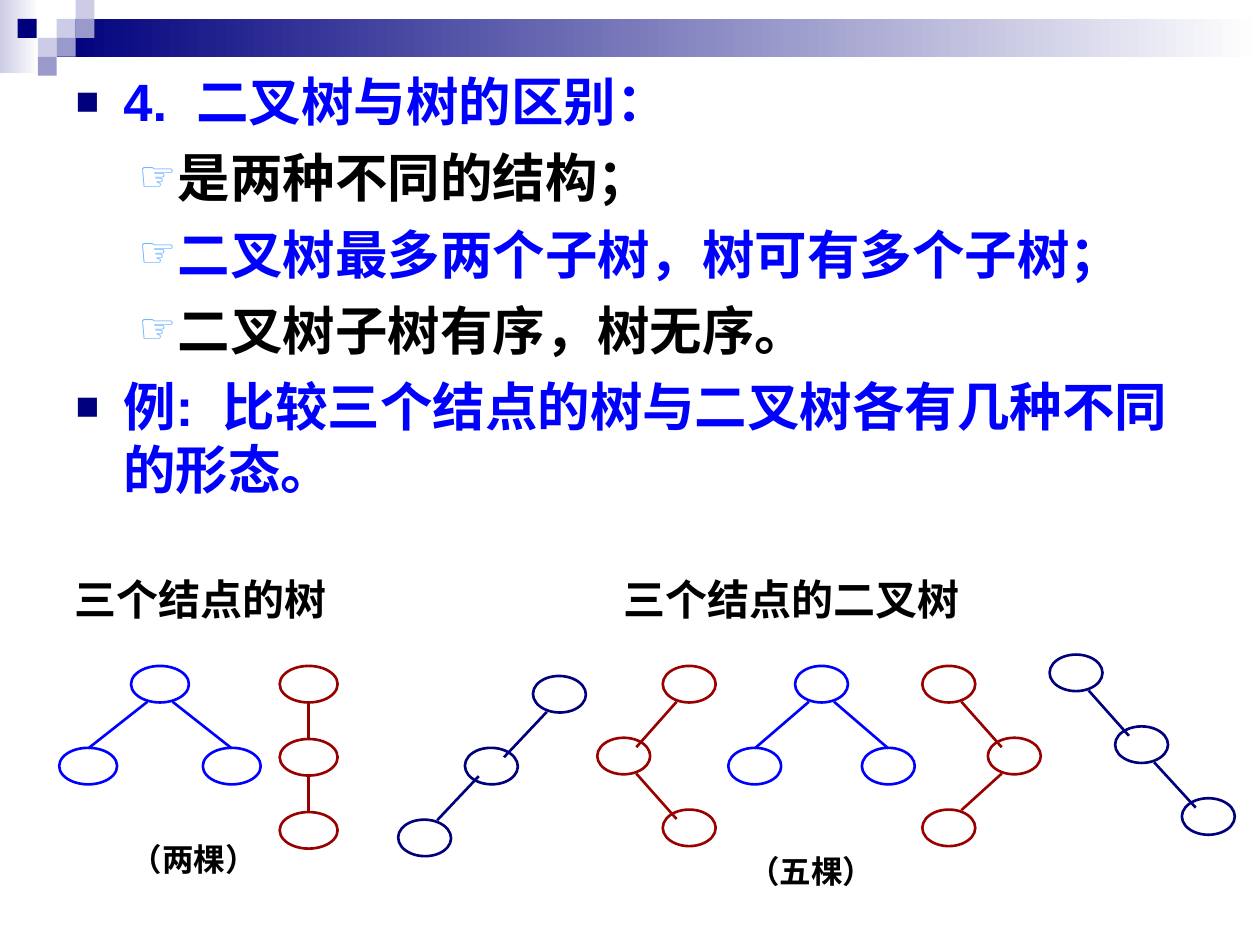
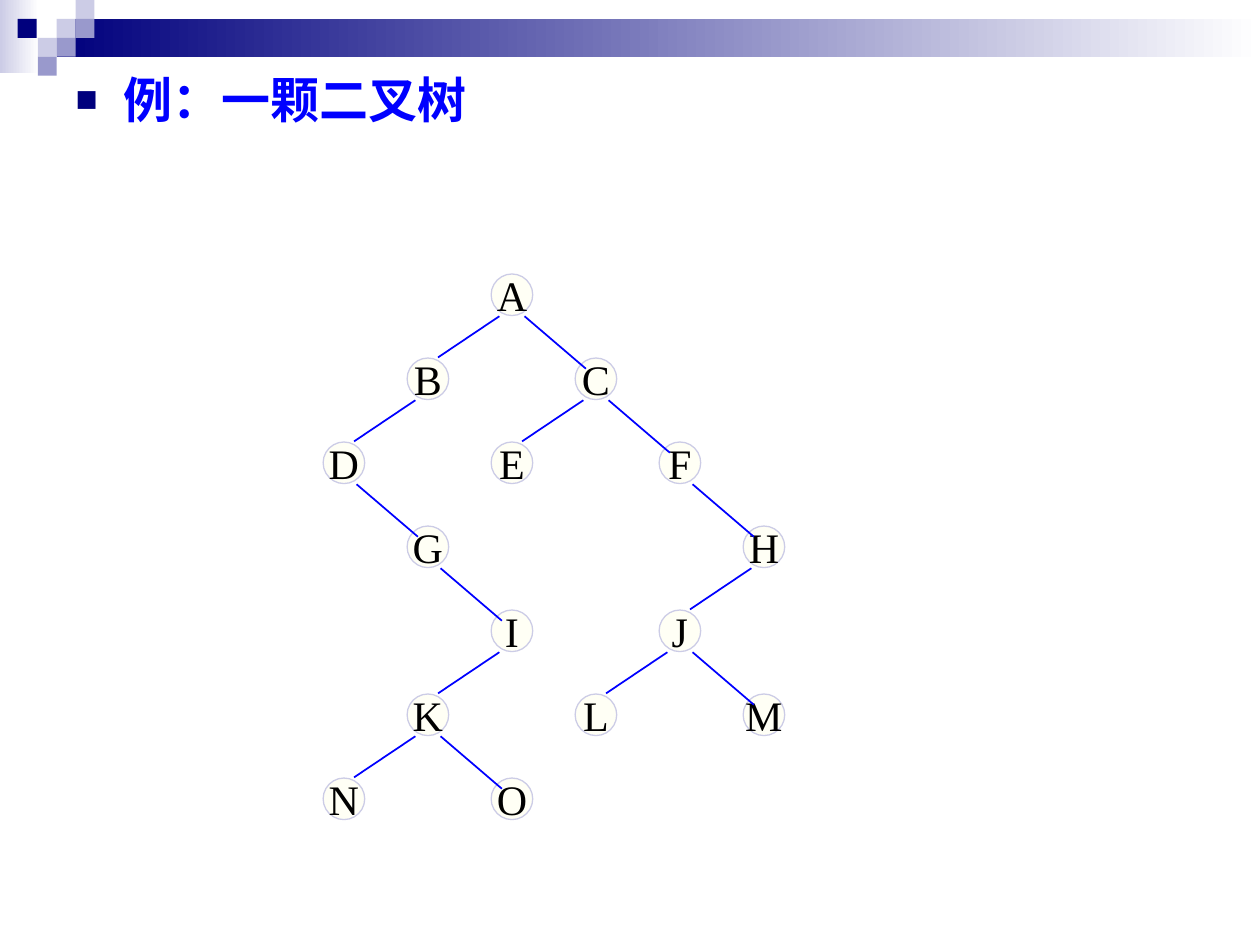
from dataclasses import dataclass

from lxml.etree import SubElement
from pptx import Presentation
from pptx.dml.color import RGBColor
from pptx.enum.shapes import MSO_CONNECTOR, MSO_SHAPE
from pptx.enum.text import MSO_ANCHOR, MSO_AUTO_SIZE, PP_ALIGN
from pptx.oxml.ns import qn
from pptx.util import Inches, Pt


@dataclass(frozen=True)
class Theme:
    navy: str = "00007D"
    violet: str = "9999CC"
    lavender: str = "CCCCE6"
    white: str = "FFFFFF"
    ivory: str = "FFFFF5"
    blue: str = "0000FF"
    sky: str = "67AFFF"
    red: str = "990000"
    black: str = "000000"
    sans: str = "Arial"
    serif: str = "Times New Roman"
    body_size: int = 30
    example_size: int = 28
    label_size: int = 24
    count_size: int = 18
    outline: float = 1.5
    thin_outline: float = 0.75
    branch: float = 1


@dataclass(frozen=True)
class Edge:
    parent: int
    child: int
    drop: float = 0.14
    lift: float = 0.07
    inset: float = 0.1


@dataclass(frozen=True)
class SmallTree:
    color: str
    width: float
    centers: tuple
    edges: tuple
    rotation: float = 0


class SlideBuilder:
    def __init__(self, deck, theme):
        self.deck = deck
        self.theme = theme
        self.page = None

    def start_page(self):
        self.page = self.deck.slides.add_slide(self.deck.slide_layouts[1])
        title = self.page.shapes.title
        title.element.getparent().remove(title.element)
        self.draw_header()

    def draw_header(self):
        theme = self.theme
        self.rectangle(0, 0, 0.31, 0.58, theme.lavender, theme.white)
        self.rectangle(0.45, 0.15, 9.55, 0.3, theme.navy, theme.white)
        squares = [
            (0.45, 0.15, theme.lavender), (0.6, 0, theme.lavender),
            (0.6, 0.15, theme.violet), (0.3, 0.3, theme.lavender),
            (0.14, 0.15, theme.navy), (0.45, 0.3, theme.violet),
            (0.3, 0.45, theme.violet),
        ]
        for left, top, color in squares:
            self.rectangle(left, top, 0.15, 0.15, color)

    def shape(self, kind, left, top, width, height):
        shape = self.page.shapes.add_shape(
            kind, Inches(left), Inches(top), Inches(width), Inches(height))
        shape.shadow.inherit = False
        return shape

    def rectangle(self, left, top, width, height, color, fade_to=None):
        shape = self.shape(MSO_SHAPE.RECTANGLE, left, top, width, height)
        shape.line.fill.background()
        if fade_to is None:
            shape.fill.solid()
            shape.fill.fore_color.rgb = RGBColor.from_string(color)
            return
        shape.fill.gradient()
        shape.fill.gradient_angle = 0
        for stop, position, shade in zip(shape.fill.gradient_stops, (0, 1), (color, fade_to)):
            stop.position = position
            stop.color.rgb = RGBColor.from_string(shade)

    def node(self, center, width, height, color, weight, fill=None, rotation=0):
        x, y = center
        node = self.shape(MSO_SHAPE.OVAL, x - width / 2, y - height / 2, width, height)
        node.rotation = rotation
        node.line.color.rgb = RGBColor.from_string(color)
        node.line.width = Pt(weight)
        if fill:
            node.fill.solid()
            node.fill.fore_color.rgb = RGBColor.from_string(fill)
        else:
            node.fill.background()
        return node

    def letter_node(self, letter, center, diameter):
        theme = self.theme
        node = self.node(center, diameter, diameter, theme.lavender,
                         theme.thin_outline, theme.ivory)
        frame = node.text_frame
        frame.word_wrap = False
        frame.vertical_anchor = MSO_ANCHOR.MIDDLE
        para = frame.paragraphs[0]
        para.text = letter
        para.alignment = PP_ALIGN.CENTER
        self.style(para, theme.serif, theme.label_size, theme.black)

    def edge(self, parent, child, edge, color, weight):
        direction = (child[0] > parent[0]) - (child[0] < parent[0])
        line = self.page.shapes.add_connector(
            MSO_CONNECTOR.STRAIGHT,
            Inches(parent[0] + direction * 0.1), Inches(parent[1] + edge.drop),
            Inches(child[0] - direction * edge.inset), Inches(child[1] - edge.lift))
        line.line.color.rgb = RGBColor.from_string(color)
        line.line.width = Pt(weight)
        SubElement(line.element.spPr, qn("a:effectLst"))

    def small_tree(self, tree):
        weight = self.theme.outline
        for center in tree.centers:
            self.node(center, tree.width, 0.29, tree.color, weight, rotation=tree.rotation)
        for edge in tree.edges:
            self.edge(tree.centers[edge.parent], tree.centers[edge.child],
                      edge, tree.color, weight)

    def style(self, para, font, size, color, bold=False):
        para.font.name = font
        para.font.size = Pt(size)
        para.font.bold = bold
        para.font.color.rgb = RGBColor.from_string(color)

    def bullet(self, para, symbol, color, percent, margin, indent):
        properties = para._p.get_or_add_pPr()
        properties.set("marL", str(Inches(margin)))
        properties.set("indent", str(Inches(indent)))
        shade = SubElement(properties, qn("a:buClr"))
        SubElement(shade, qn("a:srgbClr"), val=color)
        SubElement(properties, qn("a:buSzPct"), val=str(percent * 1000))
        SubElement(properties, qn("a:buFont"), typeface=self.theme.sans)
        SubElement(properties, qn("a:buChar"), char=symbol)

    def body(self, items, size):
        theme = self.theme
        box = self.page.placeholders[1]
        box.left, box.top, box.width, box.height = map(Inches, (0.5, 0.5, 9, 7))
        frame = box.text_frame
        frame.auto_size = MSO_AUTO_SIZE.NONE
        for index, (level, text, color) in enumerate(items):
            para = frame.add_paragraph() if index else frame.paragraphs[0]
            para.text = text
            para.level = level
            if level:
                self.bullet(para, "☞", theme.sky, 80, 0.81, -0.31)
            else:
                self.bullet(para, "■", theme.navy, 75, 0.38, -0.38)
            para.space_before = Pt(size / 4 if index else 0)
            self.style(para, theme.sans, size, color, bold=True)

    def label(self, text, left, top, width, height, font, size,
              alignment=PP_ALIGN.LEFT, spacing=1.0):
        box = self.page.shapes.add_textbox(
            Inches(left), Inches(top), Inches(width), Inches(height))
        box.text_frame.word_wrap = True
        para = box.text_frame.paragraphs[0]
        para.text = text
        para.alignment = alignment
        para.line_spacing = spacing
        self.style(para, font, size, self.theme.black, bold=True)


def fork(color, width, x, spread):
    centers = ((x, 5.43), (x - spread, 6.08), (x + spread, 6.08))
    edges = tuple(Edge(0, child, lift=0.14, inset=0) for child in (1, 2))
    return SmallTree(color, width, centers, edges)


def chain(color, width, centers, last_drop=0.14, last_lift=0.07, first_lift=0.07, rotation=0):
    edges = (Edge(0, 1, lift=first_lift), Edge(1, 2, last_drop, last_lift))
    return SmallTree(color, width, centers, edges, rotation)


def build_comparison(builder):
    theme = builder.theme
    builder.start_page()
    builder.body([
        (0, "4.  二叉树与树的区别：", theme.blue),
        (1, "是两种不同的结构；", theme.black),
        (1, "二叉树最多两个子树，树可有多个子树；", theme.blue),
        (1, "二叉树子树有序，树无序。", theme.black),
        (0, "例:  比较三个结点的树与二叉树各有几种不同的形态。", theme.blue),
    ], theme.body_size)
    trees = [
        fork(theme.blue, 0.46, 1.27, 0.57),
        chain(theme.red, 0.46, ((2.45, 5.43), (2.45, 6.01), (2.45, 6.59)),
              last_lift=0.14, first_lift=0.14),
        fork(theme.blue, 0.42, 6.52, 0.53),
        chain(theme.navy, 0.42, ((4.44, 5.51), (3.9, 6.08), (3.37, 6.65)),
              last_drop=0.08, last_lift=0.14, rotation=1.2),
        chain(theme.red, 0.42, ((5.47, 5.43), (4.95, 6), (5.47, 6.57))),
        chain(theme.red, 0.42, ((7.53, 5.43), (8.05, 6), (7.53, 6.57)), last_lift=0.14),
        chain(theme.navy, 0.42, ((8.54, 5.34), (9.06, 5.91), (9.59, 6.48))),
    ]
    for tree in trees:
        builder.small_tree(tree)
    for text, left, width in (("三个结点的树", 0.25, 2.68), ("三个结点的二叉树", 4.03, 4.5)):
        builder.label(text, left, 4.42, width, 0.58, theme.serif, theme.label_size,
                      PP_ALIGN.CENTER, 1.2)
    for text, left, top in (("（两棵）", 0.94, 6.62), ("（五棵）", 5.84, 6.71)):
        builder.label(text, left, top, 1.34, 0.4, theme.sans, theme.count_size)


def build_example(builder):
    theme = builder.theme
    builder.start_page()
    builder.body([(0, "例：一颗二叉树", theme.blue)], theme.example_size)
    pitch = 2 / 3
    cells = {
        "A": (2, 0), "B": (1, 1), "C": (3, 1), "D": (0, 2), "E": (2, 2),
        "F": (4, 2), "G": (1, 3), "H": (5, 3), "I": (2, 4), "J": (4, 4),
        "K": (1, 5), "L": (3, 5), "M": (5, 5), "N": (0, 6), "O": (2, 6),
    }
    centers = {letter: (2.73 + column * pitch, 2.34 + row * pitch)
               for letter, (column, row) in cells.items()}
    for letter, center in centers.items():
        builder.letter_node(letter, center, 0.33)
    for parent, child in "AB AC BD CE CF DG FH GI HJ IK JL JM KN KO".split() and (
            tuple(pair) for pair in "AB AC BD CE CF DG FH GI HJ IK JL JM KN KO".split()):
        lift = 0.17 if cells[child][0] < cells[parent][0] else 0.08
        builder.edge(centers[parent], centers[child],
                     Edge(0, 0, 0.17, lift, 0.08), theme.blue, theme.branch)


def main():
    deck = Presentation()
    deck.slide_width = Inches(10)
    deck.slide_height = Inches(7.5)
    builder = SlideBuilder(deck, Theme())
    build_comparison(builder)
    build_example(builder)
    deck.save("out.pptx")


if __name__ == "__main__":
    main()
